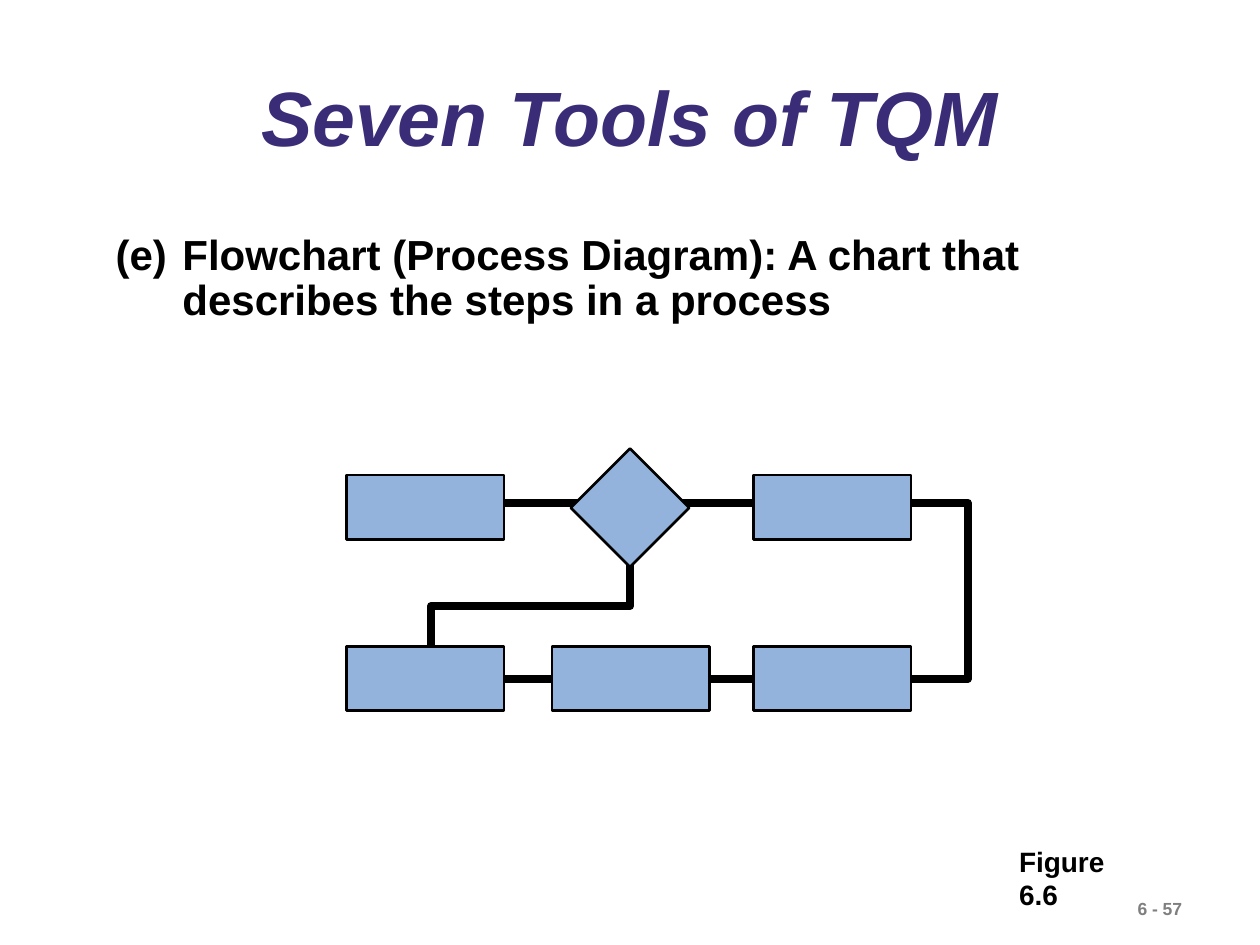
from lxml import etree
from pptx import Presentation
from pptx.dml.color import RGBColor
from pptx.enum.shapes import MSO_SHAPE
from pptx.enum.text import MSO_ANCHOR, PP_ALIGN
from pptx.oxml.ns import qn
from pptx.util import Inches, Pt

RECTANGLE, DIAMOND = MSO_SHAPE.RECTANGLE, MSO_SHAPE.DIAMOND
MIDDLE, CENTER = MSO_ANCHOR.MIDDLE, PP_ALIGN.CENTER

BLACK = RGBColor(0x00, 0x00, 0x00)
GRAY = RGBColor(0x7F, 0x7F, 0x7F)
PURPLE = RGBColor(0x3A, 0x2C, 0x76)
BLUE = RGBColor(0x93, 0xB3, 0xDD)

# Flowchart grid: left edges of the columns, top edges of the rows
COLUMNS = (2.75, 4.38, 5.98)
ROWS = (3.77, 5.13)
STEP_WIDTH, STEP_HEIGHT = 1.25, 0.51
STEPS = ((0, 0), (2, 0), (0, 1), (1, 1), (2, 1))
DECISION = (4.53, 3.56, 0.94, 0.94)
MAIN_FLOW = ((3.86, 3.99), (7.68, 3.99), (7.68, 5.39), (3.89, 5.39))
BRANCH = ((3.42, 5.31), (3.42, 4.81), (5, 4.81), (5, 4.36))


def write(frame, text, size, color, italic=False):
    """Fill a text frame with one bold paragraph and return the paragraph."""
    para = frame.paragraphs[0]
    span = para.add_run()
    span.text = text
    values = {"name": "Arial", "size": Pt(size), "bold": True, "italic": italic}
    for name, value in values.items():
        setattr(span.font, name, value)
    span.font.color.rgb = color
    return para


def add_title(page, text):
    title = page.shapes.title
    place = {"left": 0.75, "top": 0.56, "width": 8.5, "height": 0.81}
    for name, value in place.items():
        setattr(title, name, Inches(value))
    title.text_frame.vertical_anchor = MIDDLE
    para = write(title.text_frame, text, 44, PURPLE, italic=True)
    para.alignment = CENTER
    para.line_spacing = 0.9


def add_text(page, place, text, size, color=BLACK, wrap=False):
    box = page.shapes.add_textbox(*map(Inches, place))
    box.text_frame.word_wrap = wrap
    return write(box.text_frame, text, size, color)


def hang(para, indent):
    """Give a paragraph a hanging indent in inches."""
    properties = para._p.get_or_add_pPr()
    properties.set("marL", str(Inches(indent)))
    properties.set("indent", str(-Inches(indent)))


def add_flow(page, points):
    """Draw an open line through the points, with round corners."""
    corners = [(Inches(x), Inches(y)) for x, y in points]
    builder = page.shapes.build_freeform(*corners[0])
    builder.add_line_segments(corners[1:], close=False)
    flow = builder.convert_to_shape()
    flow.shadow.inherit = False
    flow.fill.background()
    flow.line.color.rgb = BLACK
    flow.line.width = Pt(4.5)
    etree.SubElement(flow.line._get_or_add_ln(), qn("a:round"))


def add_node(page, kind, place):
    node = page.shapes.add_shape(kind, *map(Inches, place))
    node.shadow.inherit = False
    node.fill.solid()
    node.fill.fore_color.rgb = BLUE
    node.line.color.rgb = BLACK
    node.line.width = Pt(1.5)


def main():
    deck = Presentation()
    deck.slide_width, deck.slide_height = Inches(10), Inches(7.5)
    page = deck.slides.add_slide(deck.slide_layouts[5])

    # Title and definition
    add_title(page, "Seven Tools of TQM")
    definition = add_text(
        page, (0.82, 1.81, 7.76, 0.82),
        "(e)\tFlowchart (Process Diagram): A chart that describes the steps in a process",
        24, wrap=True)
    definition.line_spacing = 0.9
    hang(definition, 0.53)

    # Flowchart: lines first, nodes on top
    for points in (MAIN_FLOW, BRANCH):
        add_flow(page, points)
    for column, row in STEPS:
        add_node(page, RECTANGLE,
                 (COLUMNS[column], ROWS[row], STEP_WIDTH, STEP_HEIGHT))
    add_node(page, DIAMOND, DECISION)

    # Figure label and page number
    add_text(page, (7.99, 6.65, 1.24, 0.37), "Figure 6.6", 16)
    add_text(page, (8.93, 7.08, 1.07, 0.27), "6 - 57", 10, GRAY)

    deck.save("out.pptx")


if __name__ == "__main__":
    main()
